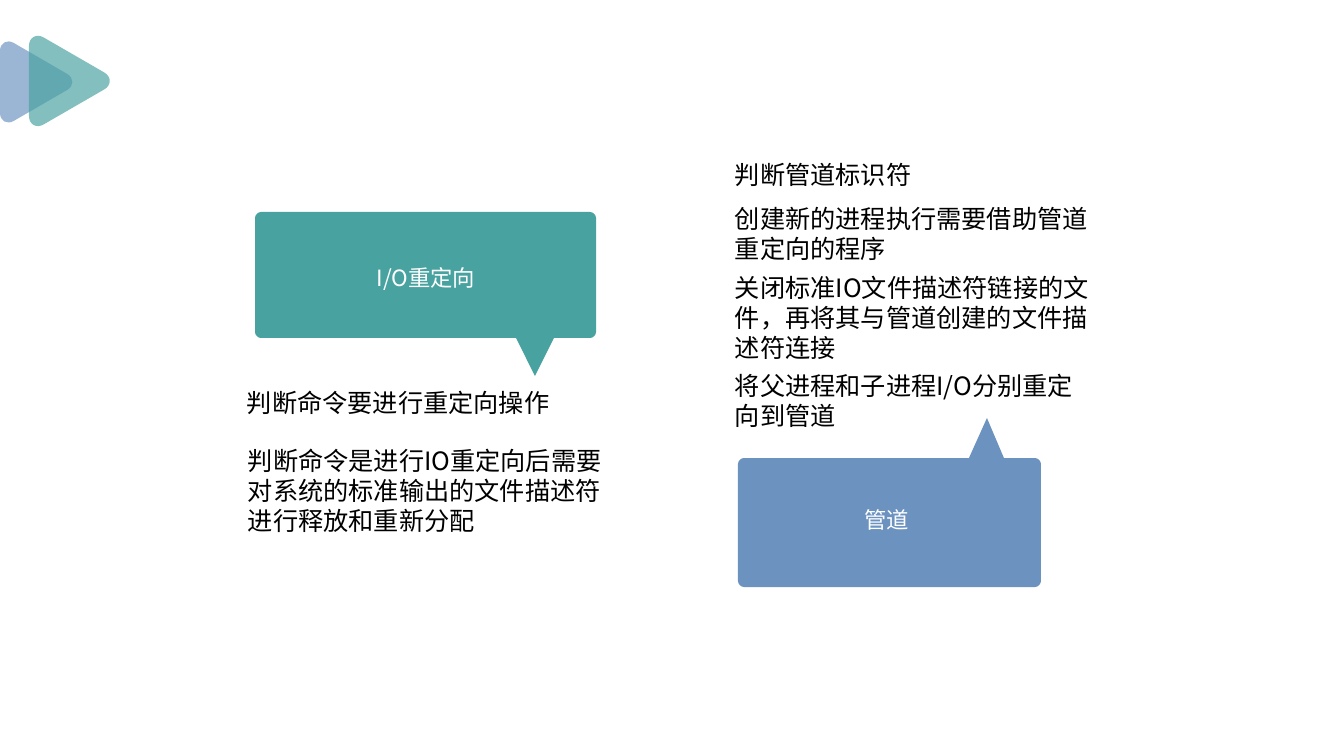
from math import dist

from lxml.etree import SubElement
from pptx import Presentation
from pptx.dml.color import RGBColor
from pptx.enum.text import MSO_ANCHOR as Anchor, PP_ALIGN as Align
from pptx.oxml.ns import qn
from pptx.util import Pt

PX = 914400 / 100.8
FONT = "Noto Sans CJK SC"
TEAL = RGBColor(0x48, 0xA2, 0xA0)
BLUE = RGBColor(0x6C, 0x92, 0xC0)
WHITE = RGBColor(255, 255, 255)
BLACK = RGBColor(0, 0, 0)
BUBBLE_RADIUS = 6

ARROWS = [
    ([(0, 35), (81, 82), (0, 129)], 16, BLUE),
    ([(29, 29), (119, 81), (29, 133)], 17, TEAL),
]
BUBBLES = [
    ((255, 212, 596, 338), (516, 554), (535, 376), TEAL),
    ((738, 458, 1041, 587), (969, 1004), (987, 418), BLUE),
]
HEADINGS = [
    ("I/O重定向", (319, 264, 214, 47)),
    ("管道", (780, 506, 213, 50)),
]
STEPS = [
    ("判断命令要进行重定向操作", (247, 387, 415, 53)),
    ("判断管道标识符", (735, 159, 297, 43)),
    ("将父进程和子进程I/O分别重定向到管道", (735, 370, 362, 64)),
    ("创建新的进程执行需要借助管道重定向的程序", (735, 203, 355, 61)),
    ("关闭标准IO文件描述符链接的文件，再将其与管道创建的文件描述符连接",
     (735, 272, 355, 64)),
]
RELEASE_NOTE = (
    "判断命令是进行IO重定向后需要对系统的标准输出的文件描述符进行释放和重新分配",
    (238, 440, 382, 314))


def px(value):
    return round(value * PX)


def toward(start, end, share):
    return tuple(a + (b - a) * share for a, b in zip(start, end))


def rounded_outline(corners, radii):
    points, curve_ends = [], []
    for i, (corner, radius) in enumerate(zip(corners, radii)):
        if not radius:
            points.append(corner)
            continue
        before, after = corners[i - 1], corners[(i + 1) % len(corners)]
        enter = toward(corner, before, radius / dist(corner, before))
        leave = toward(corner, after, radius / dist(corner, after))
        points += [enter, toward(enter, corner, 0.5), toward(leave, corner, 0.5), leave]
        curve_ends.append(len(points) - 1)
    return points, curve_ends


def bend(shape, curve_ends):
    outline = next(shape._element.iter(qn("a:path")))
    pieces = list(outline)
    for end in curve_ends:
        curve = pieces[end]
        curve.tag = qn("a:cubicBezTo")
        for place, handle in enumerate(pieces[end - 2:end]):
            curve.insert(place, handle[0])
            outline.remove(handle)


def draw_outline(slide, corners, radii):
    points, curve_ends = rounded_outline(corners, radii)
    points = [(px(x), px(y)) for x, y in points]
    builder = slide.shapes.build_freeform(*points[0])
    builder.add_line_segments(points[1:], close=False)
    builder._add_close() if hasattr(builder, "_add_close") else None
    shape = builder.convert_to_shape()
    bend(shape, curve_ends)
    shape.shadow.inherit = False
    shape.line.fill.background()
    shape.fill.background()
    return shape


def paint(shape, color, opacity=100):
    shape.fill.solid()
    shape.fill.fore_color.rgb = color
    if opacity < 100:
        tint = shape.fill._xPr.find(".//" + qn("a:srgbClr"))
        SubElement(tint, qn("a:alpha"), val=str(opacity * 1000))


def draw_bubble(slide, box, tail_base, tip, color):
    left, top, right, bottom = box
    near, far = tail_base
    corners = [(left, top), (right, top), (right, bottom), (left, bottom)]
    radii = [BUBBLE_RADIUS] * 4
    if tip[1] < top:
        place, tail = 1, [(near, top), tip, (far, top)]
    else:
        place, tail = 3, [(far, bottom), tip, (near, bottom)]
    corners[place:place] = tail
    radii[place:place] = [0] * 3
    paint(draw_outline(slide, corners, radii), color)


def write(frame, words, size, color, align):
    frame.word_wrap = True
    paragraph = frame.paragraphs[0]
    paragraph.alignment = align
    run = paragraph.add_run()
    run.text = words
    for name, value in {"size": Pt(size), "name": FONT}.items():
        setattr(run.font, name, value)
    run.font.color.rgb = color
    SubElement(run.font._element, qn("a:ea"), typeface=FONT)


def write_panel(slide, words, box, size, color, align):
    left, top, width, height = box
    right, bottom = left + width, top + height
    corners = [(left, top), (right, top), (right, bottom), (left, bottom)]
    frame = draw_outline(slide, corners, [0] * 4).text_frame
    margins = dict.fromkeys(
        ("margin_left", "margin_top", "margin_right", "margin_bottom"), 0)
    for name, value in {"vertical_anchor": Anchor.TOP, **margins}.items():
        setattr(frame, name, value)
    write(frame, words, size, color, align)


def main():
    deck = Presentation()
    deck.slide_width, deck.slide_height = px(1344), px(756)
    slide = deck.slides.add_slide(deck.slide_layouts[6])
    for corners, radius, color in ARROWS:
        paint(draw_outline(slide, corners, [radius] * 3), color, opacity=68)
    for bubble, (words, box) in zip(BUBBLES, HEADINGS):
        draw_bubble(slide, *bubble)
        write_panel(slide, words, box, 16, WHITE, Align.CENTER)
    for words, box in STEPS:
        write_panel(slide, words, box, 18, BLACK, Align.LEFT)
    words, box = RELEASE_NOTE
    note = slide.shapes.add_textbox(*map(px, box))
    write(note.text_frame, words, 18, BLACK, Align.LEFT)
    deck.save("out.pptx")


if __name__ == "__main__":
    main()
